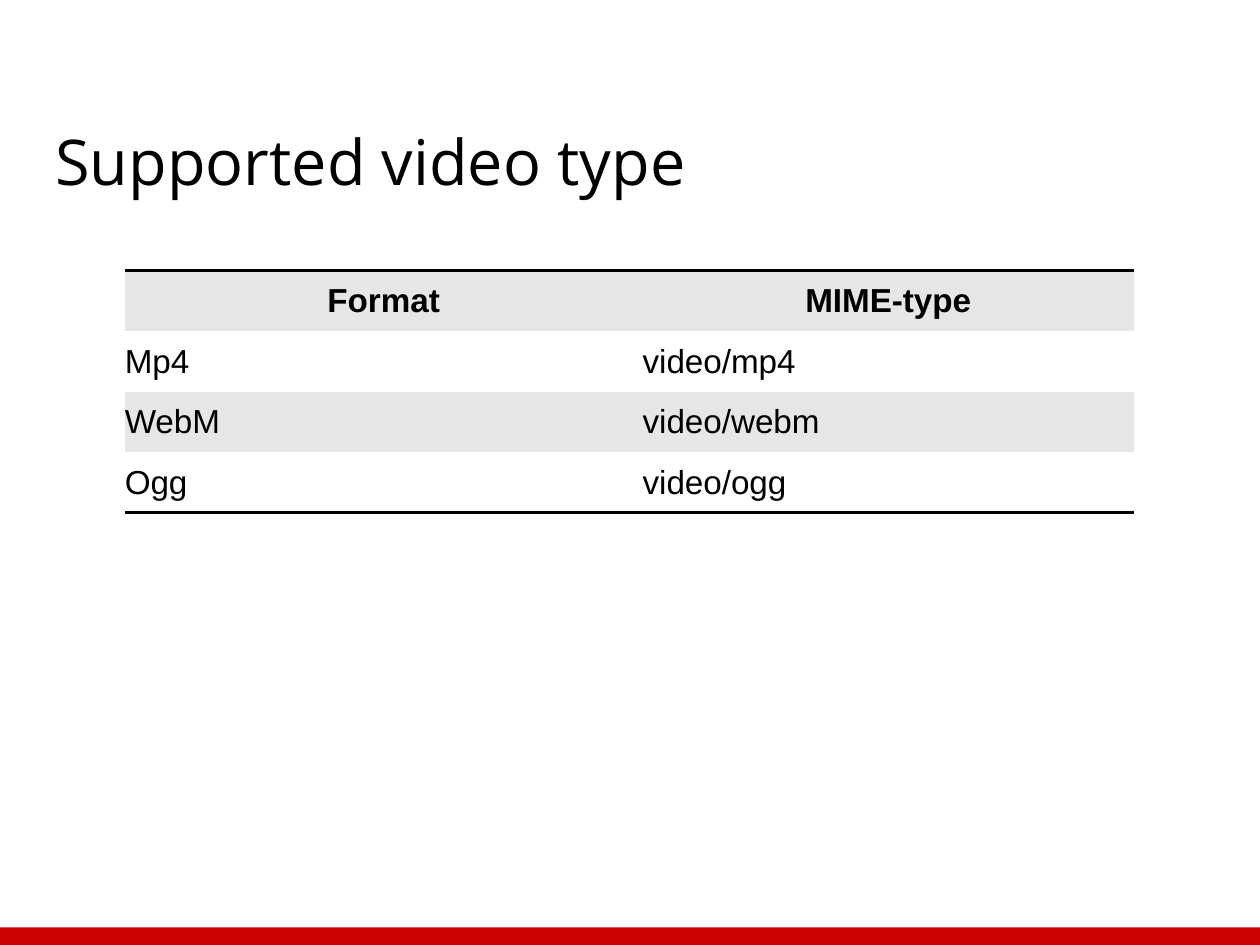
from pptx import Presentation
from pptx import util as u
from pptx.dml import color
from pptx.enum import shapes, text
from pptx.oxml import parse_xml
from pptx.oxml.ns import nsdecls

BLACK, WHITE, GREY, RED = "000000", "FFFFFF", "E6E6E6", "CC0000"
PLAIN_TABLE_STYLE = "{2D5ABB26-0587-4C30-8999-92F81FD0307C}"
ROWS = [
    ("Format", "MIME-type"),
    ("Mp4", "video/mp4"),
    ("WebM", "video/webm"),
    ("Ogg", "video/ogg"),
]


def set_values(target, values):
    """Set each named attribute of the target."""
    for name, value in values.items():
        setattr(target, name, value)


def paint(fill, hex_color):
    """Give a fill one solid colour."""
    fill.solid()
    fill.fore_color.rgb = color.RGBColor.from_string(hex_color)


def write(frame, words, font, size, align, bold=False):
    """Write one formatted paragraph into a text frame."""
    paragraph = frame.paragraphs[0]
    paragraph.alignment = align
    run = paragraph.add_run()
    run.text = words
    set_values(run.font, {"name": font, "size": u.Pt(size), "bold": bold})
    paint(run.font.fill, BLACK)


def add_rule(cell, edge, width=2):
    """Draw a border on one edge of a cell, lnT or lnB."""
    cell._tc.get_or_add_tcPr().insert(0, parse_xml(
        f'<a:{edge} {nsdecls("a")} w="{u.Pt(width)}"><a:solidFill>'
        f'<a:srgbClr val="{BLACK}"/></a:solidFill></a:{edge}>'))


def place_title(slide, left, top, width, height):
    """Place and format the slide title."""
    title = slide.shapes.title
    set_values(title, {"left": left, "top": top, "width": width, "height": height})
    frame = title.text_frame
    margins = {f"margin_{side}": u.Inches(0.1) for side in ("left", "top", "right", "bottom")}
    set_values(frame, {**margins, "word_wrap": True, "auto_size": text.MSO_AUTO_SIZE.NONE,
                       "vertical_anchor": text.MSO_ANCHOR.BOTTOM})
    write(frame, "Supported video type", "Open Sans", 36, text.PP_ALIGN.LEFT)


def add_footer_bar(slide, left, top, width, height):
    """Draw the red bar along the bottom."""
    bar = slide.shapes.add_shape(shapes.MSO_SHAPE.RECTANGLE, left, top, width, height)
    bar.shadow.inherit = False
    paint(bar.fill, RED)
    bar.line.fill.background()


def add_format_table(slide, left, top, column_widths, row_height):
    """Add the table of video formats with striped rows."""
    table = slide.shapes.add_table(len(ROWS), len(column_widths), left, top,
                                   sum(column_widths), row_height * len(ROWS)).table
    set_values(table, {"first_row": False, "horz_banding": False})
    table._tbl.tblPr[0].text = PLAIN_TABLE_STYLE
    for column, width in zip(table.columns, column_widths):
        column.width = width
    margins = {f"margin_{side}": 0 for side in ("left", "top", "right", "bottom")}
    for row_index, row in enumerate(ROWS):
        header = row_index == 0
        align = text.PP_ALIGN.CENTER if header else text.PP_ALIGN.LEFT
        for column_index, words in enumerate(row):
            cell = table.cell(row_index, column_index)
            set_values(cell, {**margins, "vertical_anchor": text.MSO_ANCHOR.MIDDLE})
            paint(cell.fill, WHITE if row_index % 2 else GREY)
            write(cell.text_frame, words, "Arial", 19, align, header)
            if header:
                add_rule(cell, "lnT")
            if row_index == len(ROWS) - 1:
                add_rule(cell, "lnB")


def main():
    """Build and save the presentation."""
    presentation = Presentation()
    set_values(presentation, {"slide_width": u.Inches(10), "slide_height": u.Inches(7.5)})
    slide = presentation.slides.add_slide(presentation.slide_layouts[5])
    add_footer_bar(slide, 0, u.Inches(7.36), u.Inches(10), u.Inches(0.14))
    place_title(slide, u.Inches(0.34), u.Inches(0.46), u.Inches(9.32), u.Inches(1.21))
    add_format_table(slide, u.Inches(0.99), u.Inches(2.15),
                     [u.Inches(4.11), u.Inches(3.9)], u.Inches(0.48))
    presentation.save("out.pptx")


if __name__ == "__main__":
    main()
